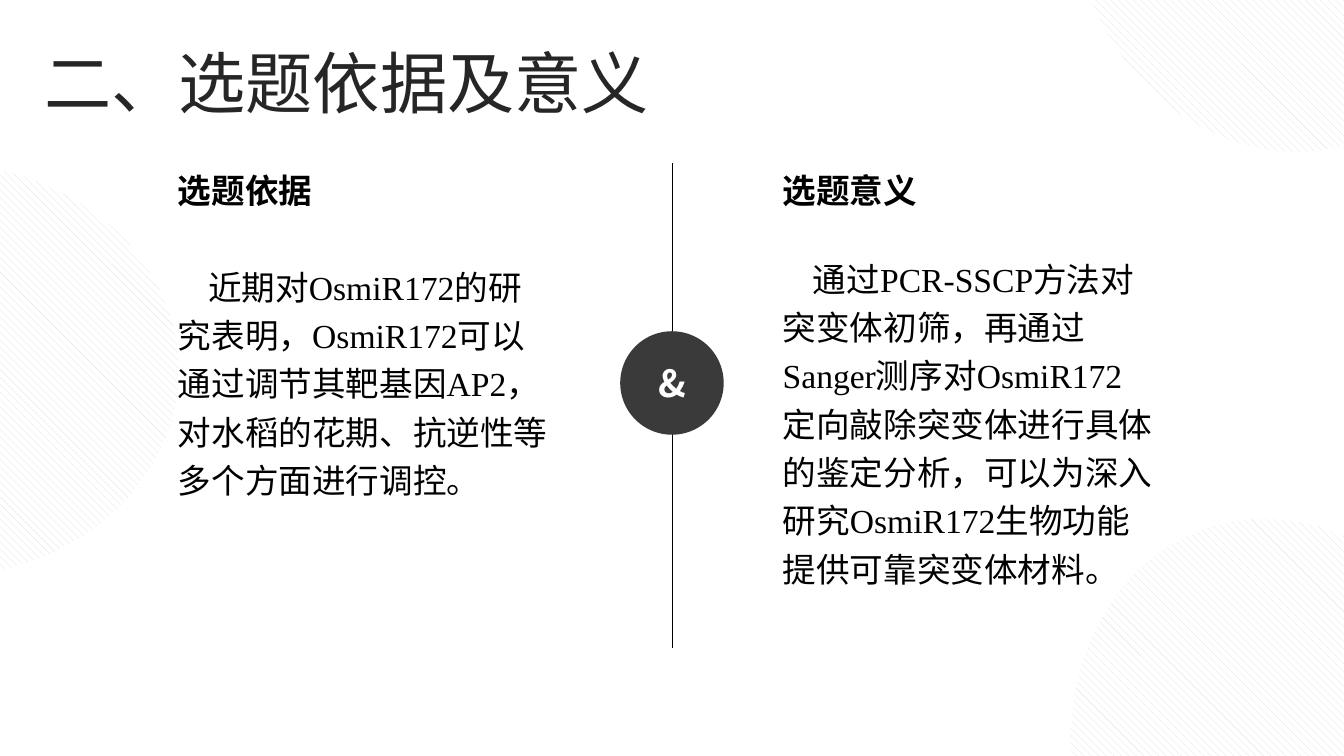
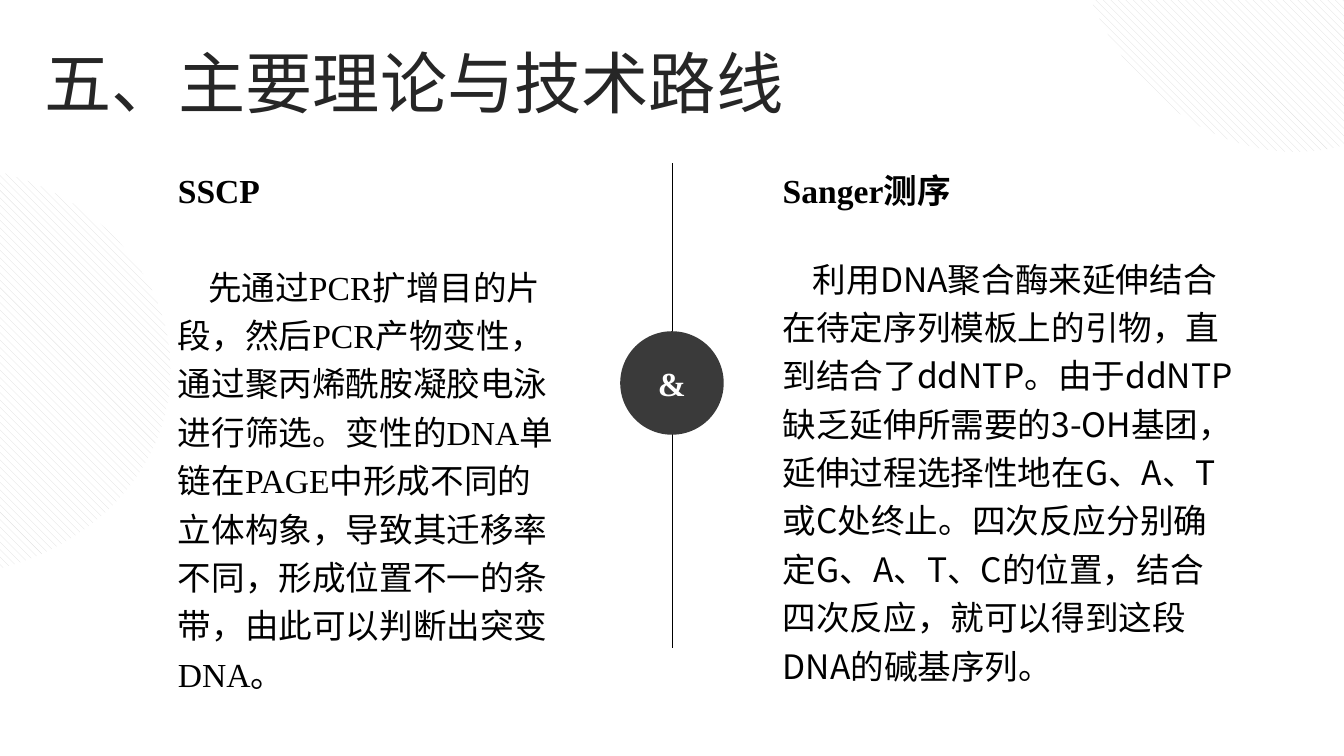
from dataclasses import dataclass
from itertools import groupby

from lxml import etree
from pptx import Presentation
from pptx import util as u
from pptx.dml.color import RGBColor
from pptx.enum import dml, shapes, text
from pptx.oxml.ns import qn

EMU_PER_PX = 4572  # 200 px to the inch


def px(length: int) -> u.Emu:
    return u.Emu(length * EMU_PER_PX)


# Theme
@dataclass(frozen=True)
class Theme:
    cjk: str = "Noto Sans CJK SC"
    serif: str = "Times New Roman"
    title_color: str = "262626"
    body_color: str = "000000"
    badge_fill: str = "3A3A3A"
    badge_text: str = "FFFFFF"
    hatch_front: str = "DDDDDD"
    hatch_back: str = "FFFFFF"
    title_size: int = 36
    body_size: int = 18
    line_width: float = 0.5
    body_spacing: float = 1.2
    first_indent: int = 45


THEME = Theme()


@dataclass(frozen=True)
class Area:
    left: int
    top: int
    width: int
    height: int

    def emu(self) -> tuple:
        return tuple(px(n) for n in (self.left, self.top, self.width, self.height))


@dataclass(frozen=True)
class Style:
    size: int
    color: str
    bold: bool = False
    latin: str = THEME.serif


@dataclass(frozen=True)
class Disc:
    left: int
    top: int
    turn: int = 0


@dataclass(frozen=True)
class Column:
    heading: str
    heading_area: Area
    body: str
    body_area: Area
    body_latin: str = THEME.serif


@dataclass(frozen=True)
class Comparison:
    title: str
    title_height: int
    discs: tuple
    columns: tuple
    badge: Style


# Slide content
LEFT, RIGHT = 245, 1145
TOP = 243
TOP_DISC = Disc(1548, -436, 75)
BOTTOM_DISC = Disc(1548, 818, 75)

COMPARISONS = (
    Comparison(
        "二、选题依据及意义", 142,
        (TOP_DISC, BOTTOM_DISC, Disc(-448, TOP)),
        (
            Column(
                "选题依据", Area(LEFT, TOP, 446, 80),
                "近期对OsmiR172的研究表明，OsmiR172可以通过调节其靶基因AP2，"
                "对水稻的花期、抗逆性等多个方面进行调控。",
                Area(LEFT, 375, 592, 384),
            ),
            Column(
                "选题意义", Area(RIGHT, TOP, 446, 80),
                "通过PCR-SSCP方法对突变体初筛，再通过Sanger测序对OsmiR172"
                "定向敲除突变体进行具体的鉴定分析，可以为深入研究OsmiR172"
                "生物功能提供可靠突变体材料。",
                Area(RIGHT, 363, 590, 530),
            ),
        ),
        Style(20, THEME.badge_text, True, THEME.cjk),
    ),
    Comparison(
        "五、主要理论与技术路线", 262,
        (TOP_DISC, Disc(-460, TOP)),
        (
            Column(
                "SSCP", Area(LEFT, TOP, 446, 80),
                "先通过PCR扩增目的片段，然后PCR产物变性，通过聚丙烯酰胺凝胶电泳"
                "进行筛选。变性的DNA单链在PAGE中形成不同的立体构象，导致其迁移率不同，"
                "形成位置不一的条带，由此可以判断出突变DNA。",
                Area(LEFT, 375, 610, 674),
            ),
            Column(
                "Sanger测序", Area(RIGHT, TOP, 538, 80),
                "利用DNA聚合酶来延伸结合在待定序列模板上的引物，直到结合了ddNTP。"
                "由于ddNTP缺乏延伸所需要的3-OH基团，延伸过程选择性地在G、A、T或C处终止。"
                "四次反应分别确定G、A、T、C的位置，结合四次反应，"
                "就可以得到这段DNA的碱基序列。",
                Area(RIGHT, 363, 714, 748), THEME.cjk,
            ),
        ),
        Style(18, THEME.badge_text, True),
    ),
)


# Text
def write(para, words: str, style: Style) -> None:
    """Fill a paragraph, giving Latin stretches their own typeface."""
    if style.latin == THEME.cjk:
        pieces = [(THEME.cjk, words)]
    else:
        pieces = [(style.latin if ascii_only else THEME.cjk, "".join(chars))
                  for ascii_only, chars in groupby(words, str.isascii)]
    for face, piece in pieces:
        span = para.add_run()
        span.text = piece
        span.font.name = face
        span.font.size = u.Pt(style.size)
        span.font.bold = style.bold
        span.font.color.rgb = RGBColor.from_string(style.color)
        east_asian = etree.SubElement(span.font._element, qn("a:ea"))
        east_asian.set("typeface", THEME.cjk)


def add_text(parent, area: Area, words: str, style: Style):
    frame = parent.shapes.add_textbox(*area.emu()).text_frame
    frame.word_wrap = True
    frame.auto_size = text.MSO_AUTO_SIZE.SHAPE_TO_FIT_TEXT
    para = frame.paragraphs[0]
    write(para, words, style)
    return para


# Shapes
def add_ellipse(page, area: Area):
    ellipse = page.shapes.add_shape(shapes.MSO_SHAPE.OVAL, *area.emu())
    ellipse.shadow.inherit = False
    ellipse.line.fill.background()
    return ellipse


def add_disc(page, disc: Disc) -> None:
    ellipse = add_ellipse(page, Area(disc.left, disc.top, 714, 616))
    ellipse.rotation = disc.turn
    ellipse.fill.patterned()
    ellipse.fill.pattern = dml.MSO_PATTERN.WIDE_DOWNWARD_DIAGONAL
    ellipse.fill.fore_color.rgb = RGBColor.from_string(THEME.hatch_front)
    ellipse.fill.back_color.rgb = RGBColor.from_string(THEME.hatch_back)


def add_divider(page, badge_style: Style) -> None:
    line = page.shapes.add_connector(
        shapes.MSO_CONNECTOR.STRAIGHT, px(1000), px(TOP), px(1000), px(964))
    line.line.color.rgb = RGBColor.from_string(THEME.body_color)
    line.line.width = u.Pt(THEME.line_width)
    etree.SubElement(line._element.spPr, qn("a:effectLst"))

    badge = add_ellipse(page, Area(923, 493, 154, 154))
    badge.fill.solid()
    badge.fill.fore_color.rgb = RGBColor.from_string(THEME.badge_fill)
    badge.text_frame.vertical_anchor = text.MSO_ANCHOR.MIDDLE
    para = badge.text_frame.paragraphs[0]
    para.alignment = text.PP_ALIGN.CENTER
    write(para, "&", badge_style)


def add_column(page, column: Column) -> None:
    group = page.shapes.add_group_shape()
    body_style = Style(THEME.body_size, THEME.body_color, latin=column.body_latin)
    para = add_text(group, column.body_area, column.body, body_style)
    para.line_spacing = THEME.body_spacing
    para._p.get_or_add_pPr().set("indent", str(px(THEME.first_indent)))
    add_text(group, column.heading_area, column.heading,
             Style(THEME.body_size, THEME.body_color, True))


# Slides
def add_comparison(deck, comparison: Comparison) -> None:
    page = deck.slides.add_slide(deck.slide_layouts[6])
    for disc in comparison.discs:
        add_disc(page, disc)
    add_text(page, Area(46, 51, 1432, comparison.title_height), comparison.title,
             Style(THEME.title_size, THEME.title_color))
    add_divider(page, comparison.badge)
    for column in comparison.columns:
        add_column(page, column)


def main() -> None:
    deck = Presentation()
    deck.slide_width, deck.slide_height = px(2000), px(1125)
    for comparison in COMPARISONS:
        add_comparison(deck, comparison)
    deck.save("out.pptx")


if __name__ == "__main__":
    main()
